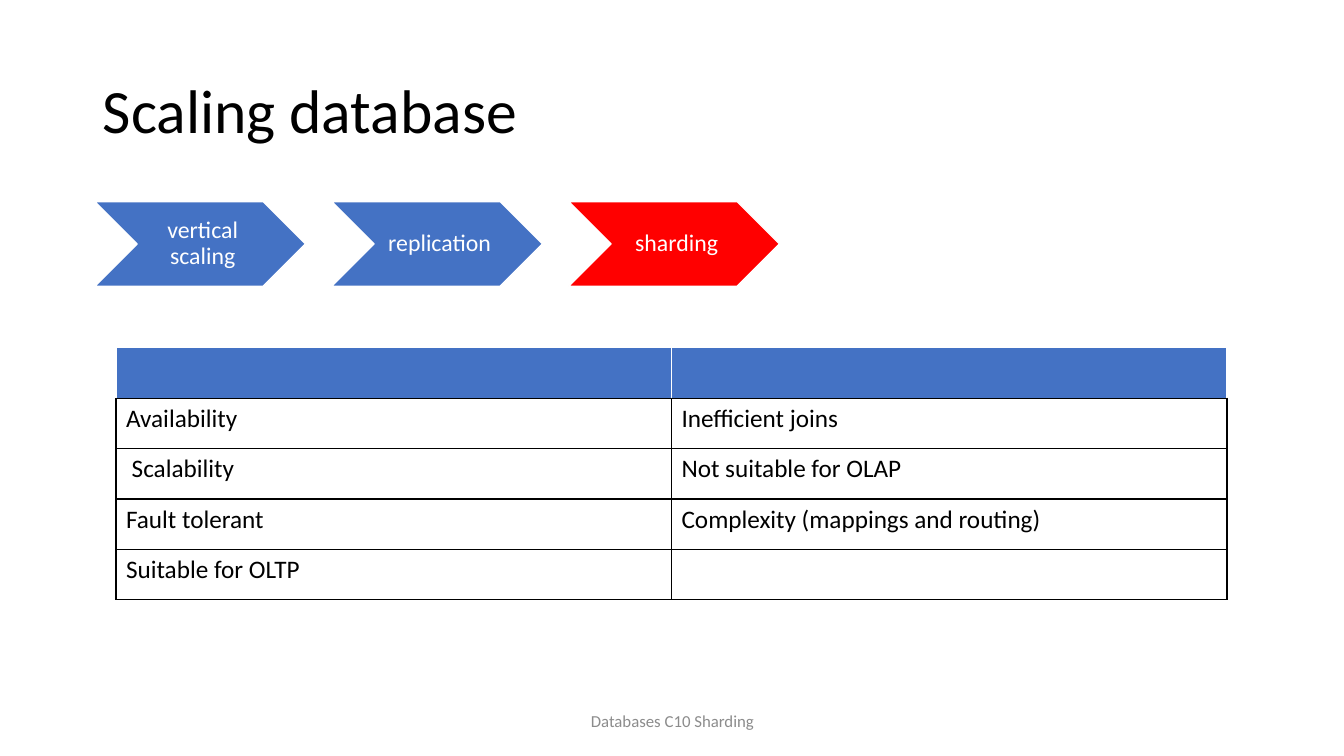
from lxml.etree import SubElement
from pptx import Presentation
from pptx.dml.color import RGBColor
from pptx.enum.shapes import MSO_SHAPE as SHAPE
from pptx.enum.text import MSO_ANCHOR as ANCHOR, MSO_AUTO_SIZE as AUTO_SIZE, PP_ALIGN as ALIGN
from pptx.oxml.ns import qn
from pptx.util import Emu, Pt

BLUE = RGBColor(0x44, 0x72, 0xC4)
RED = RGBColor(0xFF, 0x00, 0x00)
WHITE = RGBColor(0xFF, 0xFF, 0xFF)
BLACK = RGBColor(0x00, 0x00, 0x00)
GRAY = RGBColor(0x8C, 0x8C, 0x8C)


def px(count):
    return Emu(count * 9144)


def write(frame, text, size, color, align=ALIGN.LEFT, spacing=1.0):
    frame.word_wrap = True
    frame.vertical_anchor = ANCHOR.MIDDLE
    paragraph = frame.paragraphs[0]
    paragraph.alignment = align
    paragraph.line_spacing = spacing
    run = paragraph.add_run()
    run.text = text
    run.font.name = "Calibri"
    run.font.size = Pt(size)
    run.font.color.rgb = color


deck = Presentation()
deck.slide_width = px(1333)
deck.slide_height = px(750)
slide = deck.slides.add_slide(deck.slide_layouts[5])

heading = slide.shapes.title
heading.left, heading.top, heading.width, heading.height = px(92), px(40), px(1150), px(145)
heading.text_frame.auto_size = AUTO_SIZE.NONE
write(heading.text_frame, "Scaling database", 44, BLACK, spacing=0.9)

stages = [("vertical scaling", BLUE), ("replication", BLUE), ("sharding", RED)]
for index, (stage, color) in enumerate(stages):
    step = slide.shapes.add_shape(SHAPE.CHEVRON, px(94 + 235 * index), px(200), px(209), px(84))
    step.shadow.inherit = False
    step.fill.solid()
    step.fill.fore_color.rgb = color
    step.line.color.rgb = WHITE
    step.line.width = Pt(1)
    label = step.text_frame
    label.margin_left = px(7)
    label.margin_top = label.margin_right = label.margin_bottom = px(2)
    write(label, stage, 17, WHITE, ALIGN.CENTER, 0.9)

tradeoffs = [
    ("", ""),
    ("Availability", "Inefficient joins"),
    (" Scalability", "Not suitable for OLAP"),
    ("Fault tolerant", "Complexity (mappings and routing)"),
    ("Suitable for OLTP", ""),
]
table = slide.shapes.add_table(len(tradeoffs), 2, px(115), px(345), px(1102), px(250)).table
for row, entries in enumerate(tradeoffs):
    for column, entry in enumerate(entries):
        cell = table.cell(row, column)
        properties = cell._tc.get_or_add_tcPr()
        for side in ("lnL", "lnR", "lnT", "lnB"):
            color = WHITE if row == 0 and side != "lnB" else BLACK
            border = SubElement(properties, qn(f"a:{side}"), w=str(Pt(1)))
            SubElement(SubElement(border, qn("a:solidFill")), qn("a:srgbClr"), val=str(color))
        cell.fill.solid()
        cell.fill.fore_color.rgb = WHITE if row else BLUE
        if entry:
            write(cell.text_frame, entry, 18, BLACK)
        cell.vertical_anchor = ANCHOR.TOP

footer = slide.shapes.add_textbox(px(442), px(695), px(450), px(40))
write(footer.text_frame, "Databases C10 Sharding", 12, GRAY, ALIGN.CENTER)

deck.save("out.pptx")
